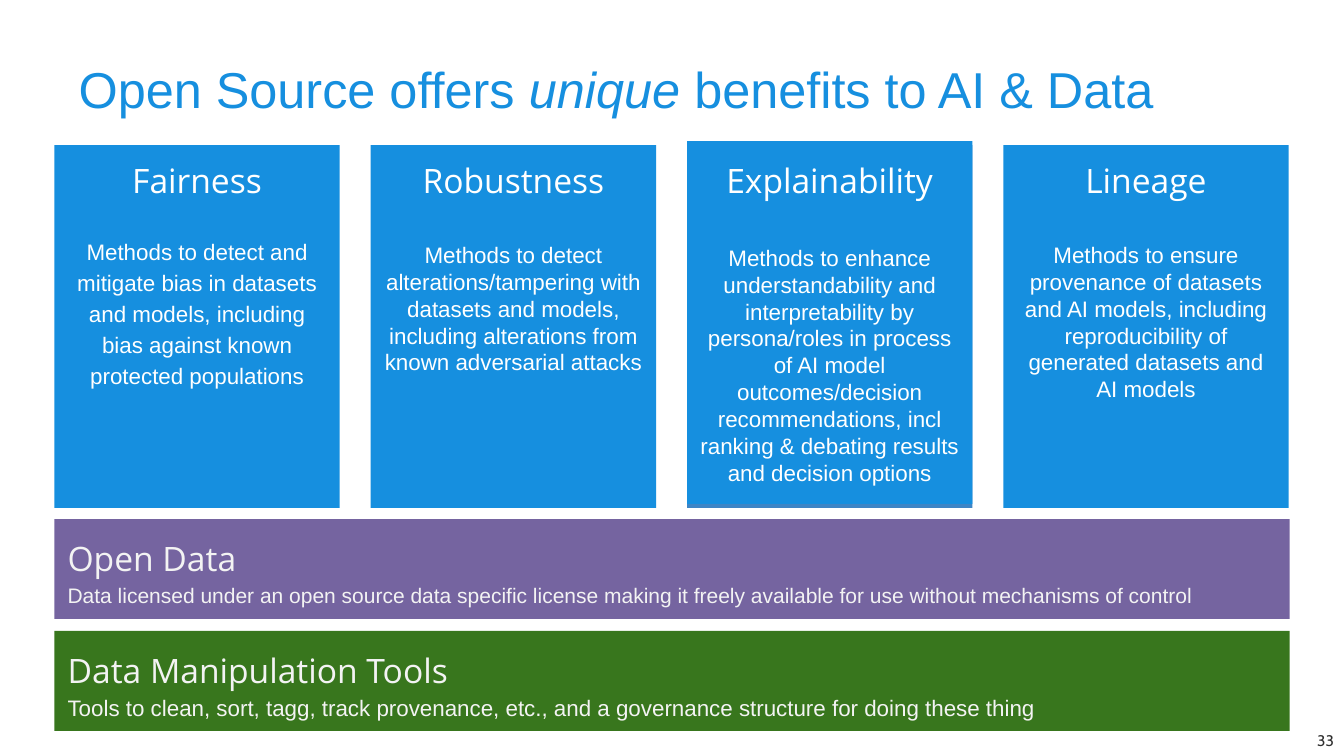
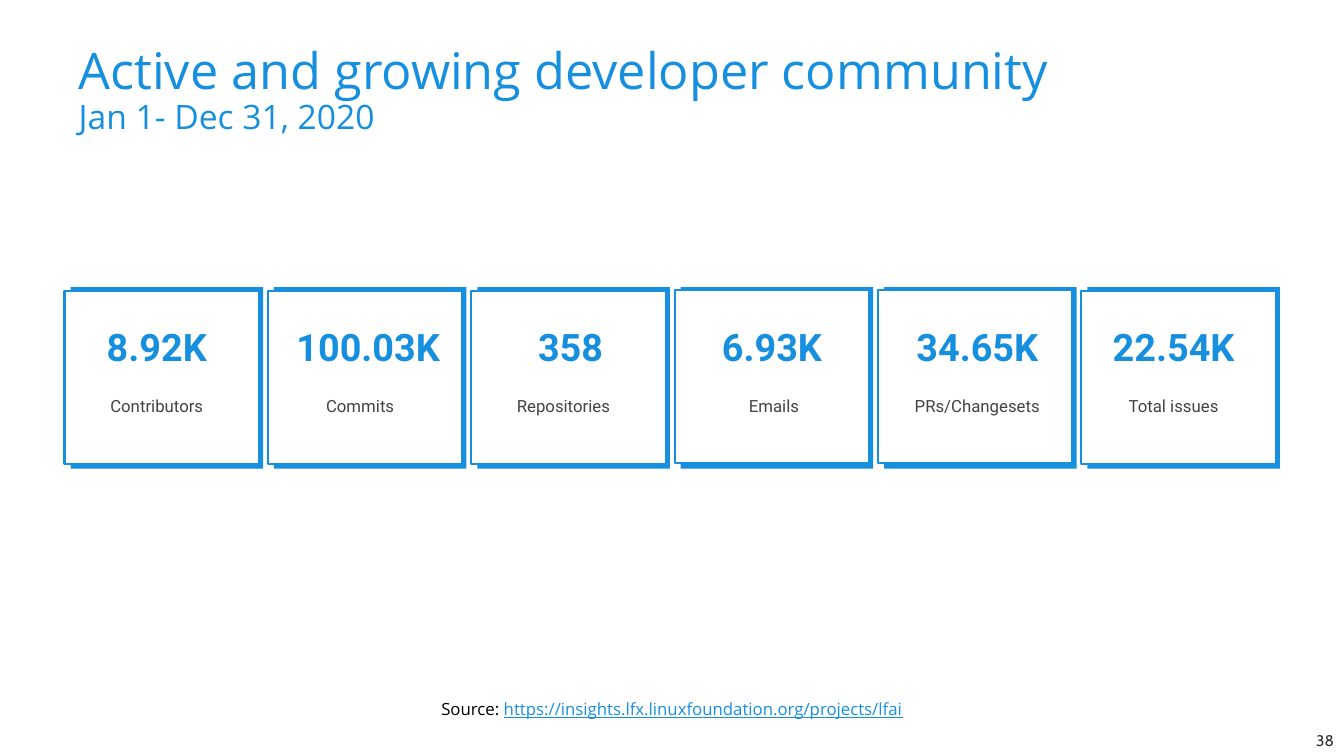
from dataclasses import dataclass, field
from typing import Any

from pptx import Presentation
from pptx.dml.color import RGBColor
from pptx.enum.shapes import MSO_SHAPE
from pptx.enum.text import MSO_ANCHOR, MSO_AUTO_SIZE, PP_ALIGN
from pptx.util import Inches, Pt

WIDE, HIGH = 13.33, 7.5
HEX = {
    "blue": "168FDF", "steel": "3D85C6", "violet": "7564A0", "green": "38761D",
    "white": "FFFFFF", "pale": "F3F3F3", "black": "000000",
    "ink": "2F2F2F", "gray": "434343",
}

# Text styles
FORMAT: dict[str, dict[str, Any]] = {
    "title": {"name": "Open Sans", "size": Pt(36), "color": "blue"},
    "plain": {"name": "Arial", "size": Pt(36), "color": "blue"},
    "slant": {"name": "Arial", "size": Pt(36), "color": "blue", "italic": True},
    "dates": {"name": "Open Sans", "size": Pt(24), "color": "blue"},
    "page": {"name": "Cabin", "size": Pt(11), "color": "ink"},
    "head": {"name": "Open Sans", "size": Pt(24), "color": "white"},
    "body": {"name": "Arial", "size": Pt(16), "color": "white"},
    "band": {"name": "Open Sans", "size": Pt(24), "color": "pale"},
    "note": {"name": "Arial", "size": Pt(16), "color": "pale"},
    "small": {"name": "Arial", "size": Pt(15), "color": "pale"},
    "source": {"name": "Open Sans", "size": Pt(12), "color": "black"},
    "link": {"name": "Open Sans", "size": Pt(12), "color": "blue", "underline": True},
    "count": {"name": "Roboto", "size": Pt(27), "color": "blue", "bold": True},
    "label": {"name": "Roboto", "size": Pt(12), "color": "gray"},
}


@dataclass
class Box:
    x: float
    y: float
    w: float
    h: float

    def lengths(self) -> list[int]:
        return [Inches(n) for n in (self.x, self.y, self.w, self.h)]


@dataclass
class Grid:
    left: float
    step: float

    def col(self, i: int, shift: float = 0) -> float:
        return self.left + i * self.step + shift


@dataclass
class Para:
    runs: list[tuple[str, str]]
    align: PP_ALIGN = PP_ALIGN.LEFT
    lead: float = 1.0
    gap: float = 0


@dataclass
class Card:
    head: str
    text: str
    gap: float = 29
    lead: float = 1.0
    back: str = "blue"


@dataclass
class Band:
    y: float
    fill: str
    head: str
    text: str
    style: str


@dataclass
class Stat:
    count: str
    label: str
    shift: float = 0
    nudge: float = 0
    top: float = 2.89


@dataclass
class Page:
    number: str
    title: list[Para] = field(default_factory=list)


CARDS = [
    Card("Fairness", "Methods to detect and mitigate bias in datasets and models, "
         "including bias against known protected populations", 24, 1.15),
    Card("Robustness", "Methods to detect alterations/tampering with datasets and models, "
         "including alterations from known adversarial attacks"),
    Card("Explainability", "Methods to enhance understandability and interpretability by "
         "persona/roles in process of AI model outcomes/decision recommendations, incl "
         "ranking & debating results and decision options", 31, back="steel"),
    Card("Lineage", "Methods to ensure provenance of datasets and AI models, "
         "including reproducibility of generated datasets and AI models"),
]
BANDS = [
    Band(5.15, "violet", "Open Data",
         "Data licensed under an open source data specific license making it freely "
         "available for use without mechanisms of control", "small"),
    Band(6.26, "green", "Data Manipulation Tools",
         "Tools to clean, sort, tagg, track provenance, etc., and a governance "
         "structure for doing these thing", "note"),
]
STATS = [
    Stat("8.92K", "Contributors"),
    Stat("100.03K", "Commits", 0.08),
    Stat("358", "Repositories", 0.07),
    Stat("6.93K", "Emails", 0.05, 0.07, 2.88),
    Stat("34.65K", "PRs/Changesets", 0.07, 0.07, 2.88),
    Stat("22.54K", "Total issues"),
]
BENEFITS = Page("33", [Para([("Open Source offers ", "plain"), ("unique", "slant"),
                             (" benefits to AI & Data", "plain")], lead=0.9)])
GROWTH = Page("38", [Para([("Active and growing developer community", "title")], lead=0.9),
                     Para([("Jan 1- Dec 31, 2020", "dates")], lead=0.9)])


def rgb(name: str) -> RGBColor:
    return RGBColor.from_string(HEX[name])


def write(shape: Any, paras: list[Para], anchor: MSO_ANCHOR = MSO_ANCHOR.TOP,
          pad: tuple[float, float] = (0.13, 0.13)) -> None:
    frame = shape.text_frame
    side, edge = (Inches(n) for n in pad)
    layout = {"word_wrap": True, "auto_size": MSO_AUTO_SIZE.NONE,
              "vertical_anchor": anchor, "margin_left": side, "margin_right": side,
              "margin_top": edge, "margin_bottom": edge}
    for key, value in layout.items():
        setattr(frame, key, value)
    for i, para in enumerate(paras):
        line = frame.add_paragraph() if i else frame.paragraphs[0]
        line.alignment = para.align
        line.line_spacing = para.lead
        line.space_before = Pt(para.gap)
        for text, style in para.runs:
            run = line.add_run()
            run.text = text
            for key, value in FORMAT[style].items():
                if key == "color":
                    run.font.color.rgb = rgb(value)
                else:
                    setattr(run.font, key, value)


def panel(shapes: Any, box: Box, fill: str, edge: str | None = None) -> Any:
    shape = shapes.add_shape(MSO_SHAPE.RECTANGLE, *box.lengths())
    shape.shadow.inherit = False
    shape.fill.solid()
    shape.fill.fore_color.rgb = rgb(fill)
    if edge:
        shape.line.color.rgb = rgb(edge)
        shape.line.width = Pt(1.5)
    else:
        shape.line.fill.background()
    return shape


def label(shapes: Any, box: Box, paras: list[Para], **layout: Any) -> None:
    write(shapes.add_textbox(*box.lengths()), paras, **layout)


def start(deck: Any, page: Page) -> Any:
    """Add a slide with its title and page number."""
    shapes = deck.slides.add_slide(deck.slide_layouts[5]).shapes
    title = shapes.title
    place = Box(0.68, 0.4, 11.96, 1.02).lengths()
    for key, value in zip(("left", "top", "width", "height"), place):
        setattr(title, key, value)
    write(title, page.title, MSO_ANCHOR.MIDDLE, (0.1, 0.05))
    label(shapes, Box(WIDE - 0.4, HIGH - 0.3, 0.4, 0.3),
          [Para([(page.number, "page")], PP_ALIGN.RIGHT)],
          anchor=MSO_ANCHOR.MIDDLE, pad=(0.1, 0.05))
    return shapes


def benefits(deck: Any) -> None:
    shapes = start(deck, BENEFITS)
    grid = Grid(0.54, 3.137)
    # Four columns
    for i, card in enumerate(CARDS):
        x = grid.col(i)
        face = panel(shapes, Box(x, 1.44, 2.83, 3.6), card.back)
        if card.back != "blue":
            face = panel(shapes, Box(x, 1.4, 2.83, 3.6), "blue")
        paras = [Para([(card.head, "head")], PP_ALIGN.CENTER, 1.15),
                 Para([(card.text, "body")], PP_ALIGN.CENTER, card.lead, card.gap)]
        if card.back != "blue":
            write(face, paras)
        else:
            label(shapes, Box(x, 1.4, 2.83, 3), paras)
    # Full-width bands
    for band in BANDS:
        face = panel(shapes, Box(grid.left, band.y, 12.25, 0.99), band.fill)
        write(face, [Para([(band.head, "band")], lead=1.15),
                     Para([(band.text, band.style)], lead=1.15)])


def growth(deck: Any) -> None:
    shapes = start(deck, GROWTH)
    grid = Grid(0.7, 2.017)
    # Row of counts
    for i, stat in enumerate(STATS):
        group = shapes.add_group_shape().shapes
        panel(group, Box(grid.col(i), 2.85, 1.91, 1.8), "blue")
        panel(group, Box(grid.col(i, -0.06), stat.top, 1.93, 1.71), "white", "blue")
        label(group, Box(grid.col(i, stat.nudge), 3.8, 1.71, 0.42),
              [Para([(stat.label, "label")], PP_ALIGN.CENTER)])
        label(group, Box(grid.col(i, stat.shift), 3.08, 1.71, 0.46),
              [Para([(stat.count, "count")], PP_ALIGN.CENTER)])
    # Source line
    label(shapes, Box(2.68, 6.6, 7.97, 0.87),
          [Para([("Source: ", "source"),
                 ("https://insights.lfx.linuxfoundation.org/projects/lfai", "link")],
                PP_ALIGN.CENTER)],
          anchor=MSO_ANCHOR.MIDDLE, pad=(0.1, 0.1))


def main() -> None:
    deck = Presentation()
    deck.slide_width, deck.slide_height = Inches(WIDE), Inches(HIGH)
    benefits(deck)
    growth(deck)
    deck.save("out.pptx")


if __name__ == "__main__":
    main()
